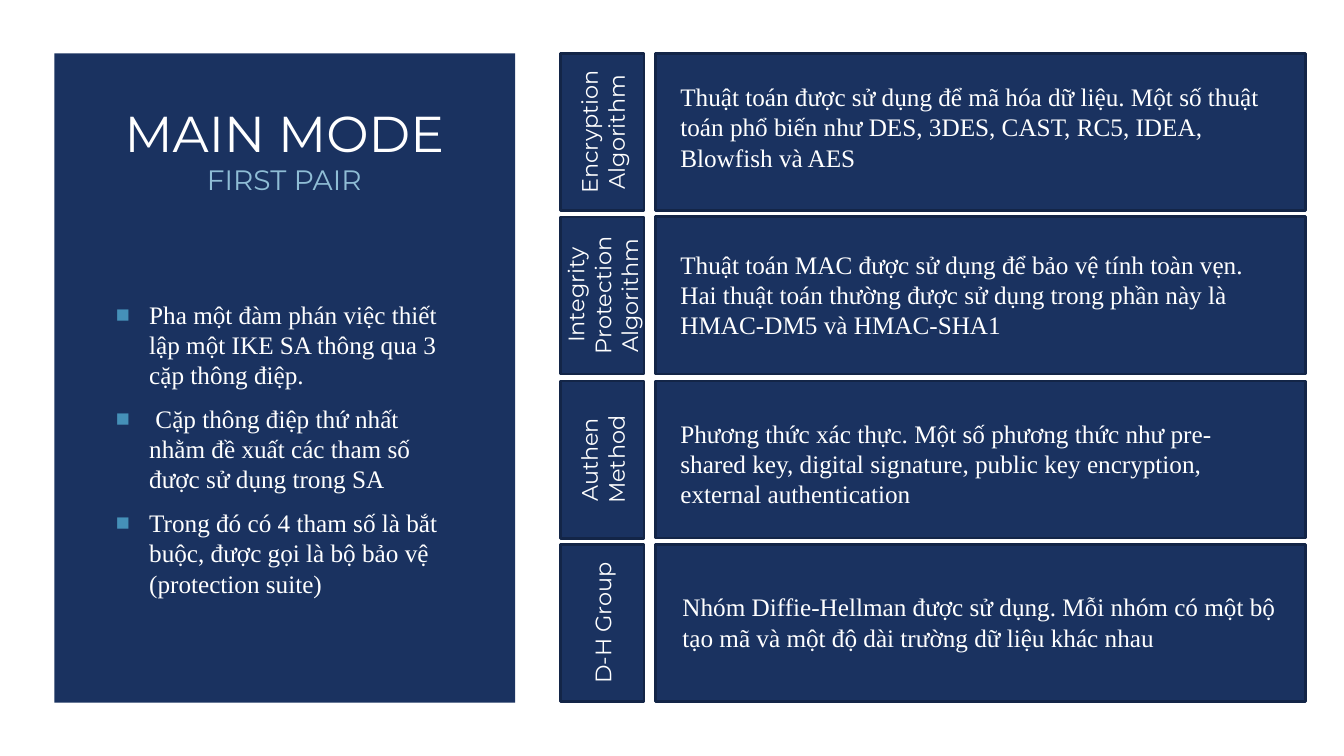
from lxml.etree import SubElement
from pptx import Presentation
from pptx.dml.color import RGBColor
from pptx.enum.shapes import MSO_SHAPE as Preset
from pptx.enum.text import MSO_ANCHOR as Anchor, MSO_AUTO_SIZE as AutoSize, PP_ALIGN as Align
from pptx.oxml.ns import qn
from pptx.util import Pt

PX = 9144
NAVY = RGBColor(0x1A, 0x32, 0x60)
EDGE = RGBColor(0x13, 0x25, 0x47)
WHITE = RGBColor(0xFF, 0xFF, 0xFF)
SKY = RGBColor(0x8F, 0xBD, 0xD5)
BULLET = RGBColor(0x45, 0x90, 0xB8)
HEADING_FONT, BODY_FONT = "Montserrat", "Times New Roman"

STEPS = [
    "Pha một đàm phán việc thiết lập một IKE SA thông qua 3 cặp thông điệp.",
    " Cặp thông điệp thứ nhất nhằm đề xuất các tham số được sử dụng trong SA",
    "Trong đó có 4 tham số là bắt buộc, được gọi là bộ bảo vệ (protection suite)",
]
PARAMETERS = [
    ("Encryption Algorithm", 15, 23, 101,
     "Thuật toán được sử dụng để mã hóa dữ liệu. Một số thuật toán phổ biến như "
     "DES, 3DES, CAST, RC5, IDEA, Blowfish và AES"),
    ("Integrity Protection Algorithm", 15, 27, 101,
     "Thuật toán MAC được sử dụng để bảo vệ tính toàn vẹn. Hai thuật toán thường "
     "được sử dụng trong phần này là HMAC-DM5 và HMAC-SHA1"),
    ("Authen\nMethod", 15, 32, 101,
     "Phương thức xác thực. Một số phương thức như pre-shared key, digital "
     "signature, public key encryption, external authentication"),
    ("D-H Group", 17, 42, 71,
     "Nhóm Diffie-Hellman được sử dụng. Mỗi nhóm có một bộ tạo mã và một độ dài "
     "trường dữ liệu khác nhau"),
]


def emu(*lengths):
    """Turn px lengths into EMU."""
    return [round(length * PX) for length in lengths]


def place(shape, *box):
    """Move a shape to a px box."""
    shape.left, shape.top, shape.width, shape.height = emu(*box)


def style(paragraph, font, size, color=WHITE):
    """Set the font of a whole paragraph."""
    paragraph.font.name = font
    paragraph.font.size = Pt(size)
    paragraph.font.color.rgb = color


def add_block(shapes, *box, edged=True):
    """Add a navy rectangle, with a dark edge if asked."""
    block = shapes.add_shape(Preset.RECTANGLE, *emu(*box))
    block.shadow.inherit = False
    block.fill.solid()
    block.fill.fore_color.rgb = NAVY
    if edged:
        block.line.color.rgb = EDGE
        block.line.width = Pt(1.75)
    else:
        block.line.fill.background()
    return block


def add_square_bullet(paragraph):
    """Give a paragraph a hanging blue square."""
    props = paragraph._p.get_or_add_pPr()
    indent = emu(33)[0]
    props.set("marL", str(indent))
    props.set("indent", str(-indent))
    tint = SubElement(props, qn("a:buClr"))
    SubElement(tint, qn("a:srgbClr"), val=str(BULLET))
    SubElement(props, qn("a:buSzPct"), val="92000")
    SubElement(props, qn("a:buFont"), typeface="Arial")
    SubElement(props, qn("a:buChar"), char="■")


def build_intro(slide, x, y, w, h):
    """Fill the left panel with the title and the list of steps."""
    panel = add_block(slide.shapes, x, y, w, h, edged=False)
    slide.shapes._spTree.insert(2, panel._element)

    title = slide.shapes.title
    place(title, x + 49, y + 34, 358, 122)
    heading = title.text_frame
    heading.vertical_anchor = Anchor.MIDDLE
    heading.auto_size = AutoSize.NONE
    line = heading.paragraphs[0]
    line.alignment = Align.CENTER
    line.font.name = HEADING_FONT
    for part, size, color in (("MAIN MODE", 36, WHITE), ("FIRST PAIR", 20, SKY)):
        if line.runs:
            line.add_line_break()
        run = line.add_run()
        run.text = part
        run.font.size = Pt(size)
        run.font.color.rgb = color

    body = slide.placeholders[1]
    place(body, x + 51, y + 191, 358, 402)
    steps = body.text_frame
    steps.vertical_anchor = Anchor.MIDDLE
    steps.auto_size = AutoSize.NONE
    steps.text = "\n".join(STEPS)
    for step in steps.paragraphs:
        step.space_after = Pt(6)
        add_square_bullet(step)
        style(step, BODY_FONT, 18)


def build_parameter(slide, x, y, w, h, parameter):
    """Build one row: an upright label and its description."""
    name, inset, drop, text_height, description = parameter
    label_width, gap = 83, 11
    row = slide.shapes.add_group_shape().shapes

    label = add_block(row, x + (label_width - h) / 2, y + (h - label_width) / 2, h, label_width)
    label.rotation = 270
    label.text_frame.word_wrap = True
    label.text_frame.vertical_anchor = Anchor.MIDDLE
    label.text_frame.text = name
    for line in label.text_frame.paragraphs:
        line.alignment = Align.CENTER
        style(line, HEADING_FONT, 16)

    card_x = x + label_width + gap
    add_block(row, card_x, y, x + w - card_x, h)
    note = row.add_textbox(*emu(card_x + inset, y + drop, 610, text_height)).text_frame
    note.word_wrap = True
    note.auto_size = AutoSize.SHAPE_TO_FIT_TEXT
    note.text = description
    style(note.paragraphs[0], BODY_FONT, 18)


def build_parameters(slide, x, y, w, h):
    """Stack the parameter rows evenly over the box."""
    row_height = 156
    step = (h - row_height) / (len(PARAMETERS) - 1)
    for index, parameter in enumerate(PARAMETERS):
        build_parameter(slide, x, y + round(index * step), w, row_height, parameter)


def main():
    """Build the slide and save it."""
    deck = Presentation()
    deck.slide_width, deck.slide_height = emu(1333, 750)
    slide = deck.slides.add_slide(deck.slide_layouts[1])
    build_intro(slide, 54, 53, 457, 644)
    build_parameters(slide, 556, 53, 739, 643)
    deck.save("out.pptx")


if __name__ == "__main__":
    main()
